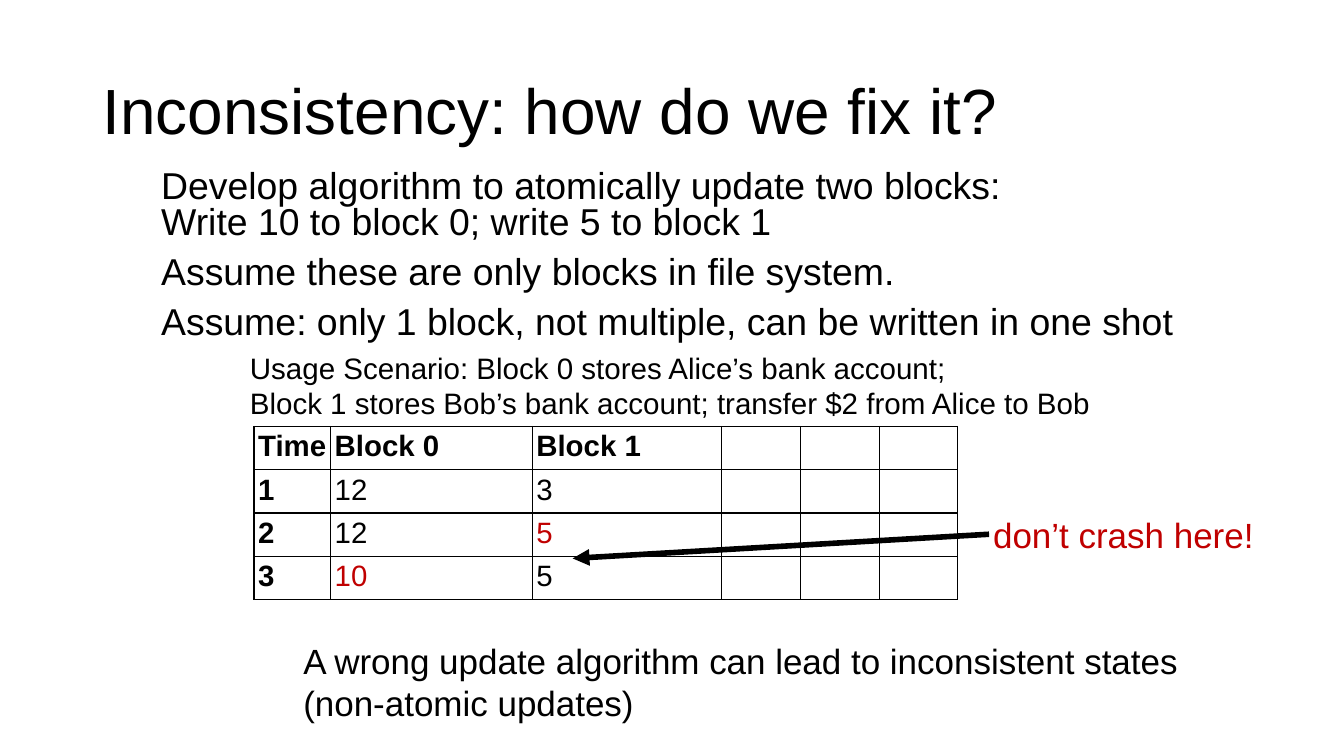
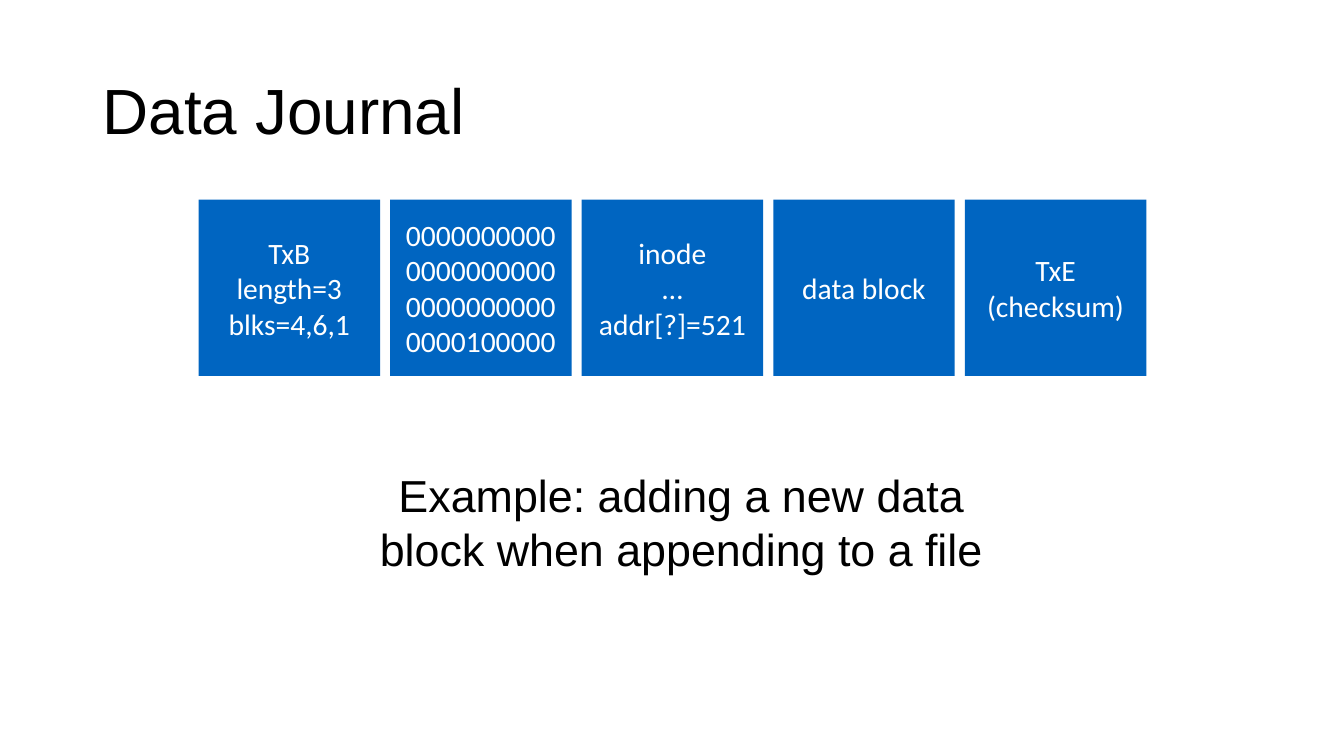
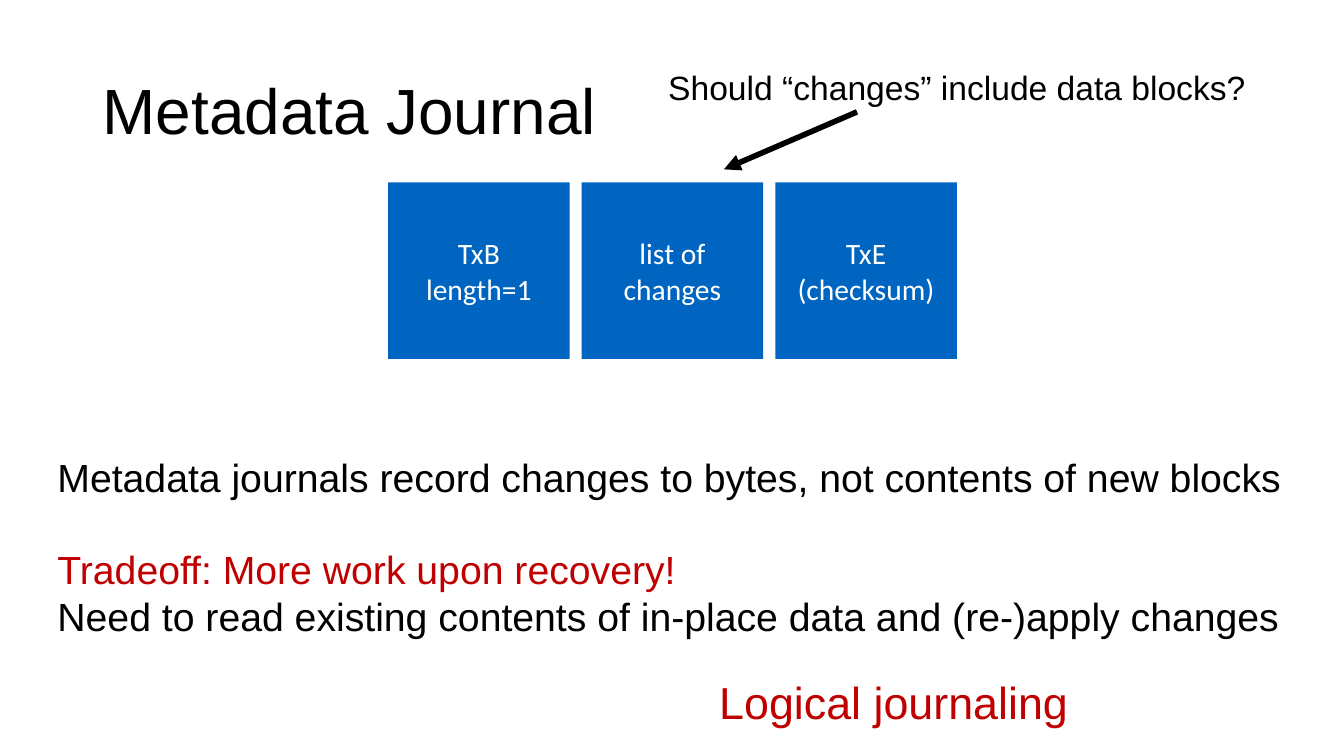
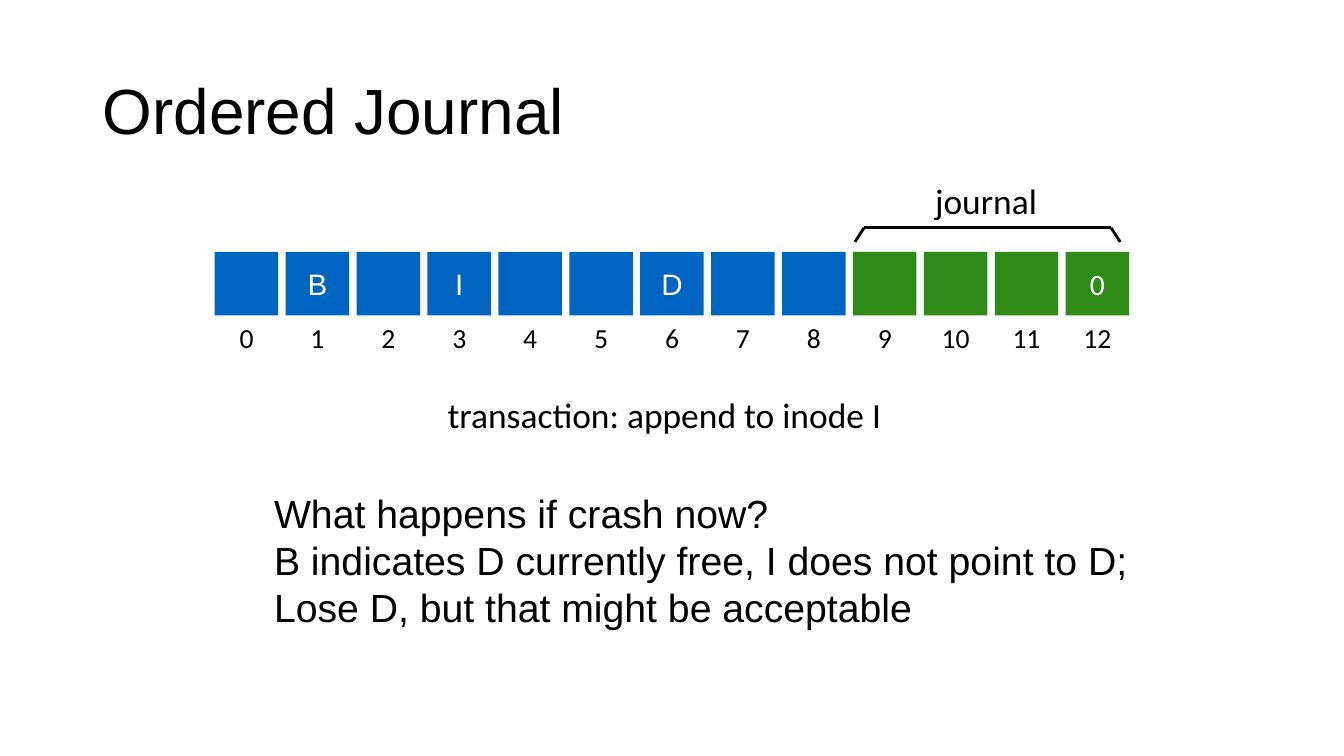
from dataclasses import dataclass
from typing import NamedTuple

from lxml.etree import SubElement
from pptx import Presentation
from pptx.dml.color import RGBColor
from pptx.enum.shapes import MSO_CONNECTOR as Link, MSO_SHAPE as Kind
from pptx.enum.text import MSO_ANCHOR as Anchor, PP_ALIGN as Align
from pptx.oxml.ns import qn
from pptx.util import Inches, Pt

BLACK, WHITE, RED, BLUE, GREEN = "000000", "FFFFFF", "C00000", "0065C1", "308B16"
SANS, BODY = "Arial", "Calibri"
WIDE, SLIM = 0.1, 0.04


class Spot(NamedTuple):
    x: float
    y: float


class Area(NamedTuple):
    x: float
    y: float
    w: float
    h: float


class Line(NamedTuple):
    text: str
    hue: str = BLACK
    gap: float = 0


@dataclass
class Style:
    size: float
    font: str = SANS
    align: Align = Align.LEFT
    anchor: Anchor = Anchor.TOP
    inset: float = WIDE
    space: float = 1.0
    wrap: bool = True


@dataclass
class Block:
    text: str = ""
    fill: str = BLUE
    font: str = BODY


TITLE = Style(45.6, anchor=Anchor.MIDDLE, space=0.9)
CENTER = Style(32, align=Align.CENTER)
TEXT = Style(28)


def color(code: str) -> RGBColor:
    return RGBColor.from_string(code)


def inches(*sizes: float) -> list:
    return [Inches(size) for size in sizes]


def apply(item, values: dict) -> None:
    for name, value in values.items():
        setattr(item, name, value)


def write(frame, lines: list[Line], style: Style, bold: bool = False) -> None:
    """Fill a text frame with one paragraph per line; a vertical tab breaks a line."""
    for i, line in enumerate(lines):
        para = frame.paragraphs[0] if i == 0 else frame.add_paragraph()
        para.text = line.text
        apply(para, {"alignment": style.align, "line_spacing": style.space,
                     "space_before": Pt(line.gap), "space_after": Pt(0)})
        for run in para.runs:
            apply(run.font, {"size": Pt(style.size), "name": style.font, "bold": bold})
            run.font.color.rgb = color(line.hue)


def shape_frame(frame, style: Style) -> None:
    pad = Inches(style.inset)
    side = pad if style.inset != WIDE else Inches(0.05)
    apply(frame, {"word_wrap": style.wrap, "vertical_anchor": style.anchor,
                  "margin_left": pad, "margin_right": pad,
                  "margin_top": side, "margin_bottom": side})


def note(slide, area: Area, style: Style, *lines: Line):
    box = slide.shapes.add_textbox(*inches(*area))
    shape_frame(box.text_frame, style)
    write(box.text_frame, lines, style)
    return box


def new_slide(deck, title: str):
    slide = deck.slides.add_slide(deck.slide_layouts[6])
    note(slide, Area(0.92, 0.4, 11.5, 1.45), TITLE, Line(title))
    return slide


def row(slide, first: Area, step: float, blocks: list[Block]) -> None:
    """Draw filled blocks from left to right at an equal step."""
    for i, block in enumerate(blocks):
        area = first._replace(x=first.x + i * step)
        rect = slide.shapes.add_shape(Kind.RECTANGLE, *inches(*area))
        rect.shadow.inherit = False
        rect.fill.solid()
        rect.fill.fore_color.rgb = color(block.fill)
        rect.line.fill.background()
        if block.text:
            style = Style(21.1, block.font, Align.CENTER, Anchor.MIDDLE, 0)
            shape_frame(rect.text_frame, style)
            write(rect.text_frame,
                  [Line(part, WHITE) for part in block.text.split("\n")], style)


def stroke(slide, start: Spot, end: Spot, width: float, arrow: bool = False):
    line = slide.shapes.add_connector(Link.STRAIGHT, *inches(*start, *end))
    line.line.color.rgb = color(BLACK)
    line.line.width = Pt(width)
    if arrow:
        SubElement(line.line._get_or_add_ln(), qn("a:tailEnd"), type="triangle")
    SubElement(line._element.spPr, qn("a:effectLst"))
    return line


def edge(cell) -> None:
    """Give a cell thin black borders."""
    props = cell._tc.get_or_add_tcPr()
    for i, side in enumerate(("lnL", "lnR", "lnT", "lnB")):
        line = props.makeelement(qn(f"a:{side}"), {"w": str(Pt(1))})
        SubElement(SubElement(line, qn("a:solidFill")), qn("a:srgbClr"), val=BLACK)
        props.insert(i, line)


def grid(slide, area: Area, widths: list[float], rows: list[list[str]],
         marked: set[tuple[int, int]]) -> None:
    """Draw a ruled table with bold head row and column; marked cells are red."""
    table = slide.shapes.add_table(len(rows), len(widths), *inches(*area)).table
    apply(table, {"first_row": False, "horz_banding": False})
    for column, width in zip(table.columns, widths):
        column.width = Inches(width)
    pad = Inches(SLIM)
    for r, texts in enumerate(rows):
        table.rows[r].height = Inches(area.h / len(rows))
        for c in range(len(widths)):
            cell = table.cell(r, c)
            apply(cell, {"margin_left": pad, "margin_right": pad,
                         "margin_top": pad, "margin_bottom": pad})
            cell.fill.background()
            edge(cell)
            if c < len(texts):
                hue = RED if (r, c) in marked else BLACK
                write(cell.text_frame, [Line(texts[c], hue)], Style(21),
                      bold=r == 0 or c == 0)


def fix(deck) -> None:
    slide = new_slide(deck, "Inconsistency: how do we fix it?")
    note(slide, Area(1.5, 1.65, 11.5, 1.9), Style(26.7, space=0.8),
         Line("Develop algorithm to atomically update two blocks:\v"
              "Write 10 to block 0; write 5 to block 1"),
         Line("Assume these are only blocks in file system.", gap=10),
         Line("Assume: only 1 block, not multiple, can be written in one shot", gap=10))
    grid(slide, Area(2.52, 4.23, 6.98, 1.72), [0.76, 2, 1.88, 0.78, 0.78, 0.78],
         [["Time", "Block 0", "Block 1"], ["1", "12", "3"],
          ["2", "12", "5"], ["3", "10", "5"]], {(2, 2), (3, 1)})
    note(slide, Area(2.91, 6.3, 9.07, 0.94), Style(25),
         Line("A wrong update algorithm can lead to inconsistent states\v"
              "(non-atomic updates)"))
    crash = note(slide, Area(9.81, 5.05, 2.69, 0.5),
                 Style(25, anchor=Anchor.MIDDLE, inset=SLIM),
                 Line("don’t crash here!", RED))
    note(slide, Area(2.38, 3.42, 8.62, 0.81), Style(21.1),
         Line("Usage Scenario: Block 0 stores Alice’s bank account;"),
         Line("Block 1 stores Bob’s bank account; transfer $2 from Alice to Bob"))
    arrow = stroke(slide, Spot(9.81, 5.3), Spot(5.68, 5.54), 4, arrow=True)
    arrow.begin_connect(crash, 1)


def data(deck) -> None:
    slide = new_slide(deck, "Data Journal")
    bits = "\n".join(["0000000000"] * 3 + ["0000100000"])
    texts = ["TxB\nlength=3\nblks=4,6,1", bits, "inode\n…\naddr[?]=521",
             "data block", "TxE\n(checksum)"]
    row(slide, Area(1.97, 1.98, 1.8, 1.75), 1.9, [Block(text) for text in texts])
    note(slide, Area(3.35, 4.59, 6.82, 1.18), CENTER,
         Line("Example: adding a new data block when appending to a file"))


def meta(deck) -> None:
    slide = new_slide(deck, "Metadata Journal")
    texts = ["TxB\nlength=1", "list of\nchanges", "TxE\n(checksum)"]
    row(slide, Area(3.85, 1.81, 1.8, 1.75), 1.92, [Block(text) for text in texts])
    note(slide, Area(0.53, 4.44, 12.36, 1.96),
         Style(28, anchor=Anchor.MIDDLE, inset=SLIM),
         Line("Metadata journals record changes to bytes, not contents of new blocks"),
         Line("Tradeoff: More work upon recovery!", RED, 32.2),
         Line("Need to read existing contents of in-place data and (re-)apply changes"))
    note(slide, Area(6.2, 6.64, 5.33, 0.64), CENTER, Line("Logical journaling", RED))
    note(slide, Area(6.2, 0.61, 6.58, 0.5), Style(24, align=Align.CENTER),
         Line("Should “changes” include data blocks?"))
    stroke(slide, Spot(8.5, 1.11), Spot(7.18, 1.68), 4, arrow=True)


def order(deck) -> None:
    slide = new_slide(deck, "Ordered Journal")
    count, log = 13, 9
    first = Area(2.13, 2.5, 0.63, 0.63)
    step = (10.57 - first.x) / (count - 1)
    blocks = [Block(fill=BLUE if i < log else GREEN) for i in range(count)]
    for i, text in {1: "B", 3: "I", 6: "D"}.items():
        blocks[i] = Block(text, font=SANS)
    blocks[-1].text = "0"
    row(slide, first, step, blocks)

    label = Style(19.7, BODY, Align.CENTER, Anchor.MIDDLE, SLIM, wrap=False)
    for i in range(count):
        width = 0.08 + 0.14 * len(str(i))
        mid = first.x + i * step + first.w / 2
        note(slide, Area(mid - width / 2, 3.14, width, 0.41), label, Line(str(i)))

    name = Style(25.3, BODY, Align.CENTER, Anchor.MIDDLE, SLIM, wrap=False)
    note(slide, Area(9.23, 1.74, 1.1, 0.5), name, Line("journal"))
    note(slide, Area(4.38, 3.86, 4.42, 0.5), name, Line("transaction: append to inode I"))
    note(slide, Area(2.62, 4.8, 8.77, 1.51), TEXT,
         Line("What happens if crash now?"),
         Line("B indicates D currently free, I does not point to D;"),
         Line("Lose D, but that might be acceptable"))

    left, right = Spot(8.57, 2.26), Spot(11.02, 2.26)
    for start, end in ((left, right), (left, Spot(8.48, 2.4)), (right, Spot(11.11, 2.4))):
        stroke(slide, start, end, 2)


def main() -> None:
    deck = Presentation()
    apply(deck, {"slide_width": Inches(13.33), "slide_height": Inches(7.5)})
    for build in (fix, data, meta, order):
        build(deck)
    deck.save("out.pptx")


if __name__ == "__main__":
    main()
